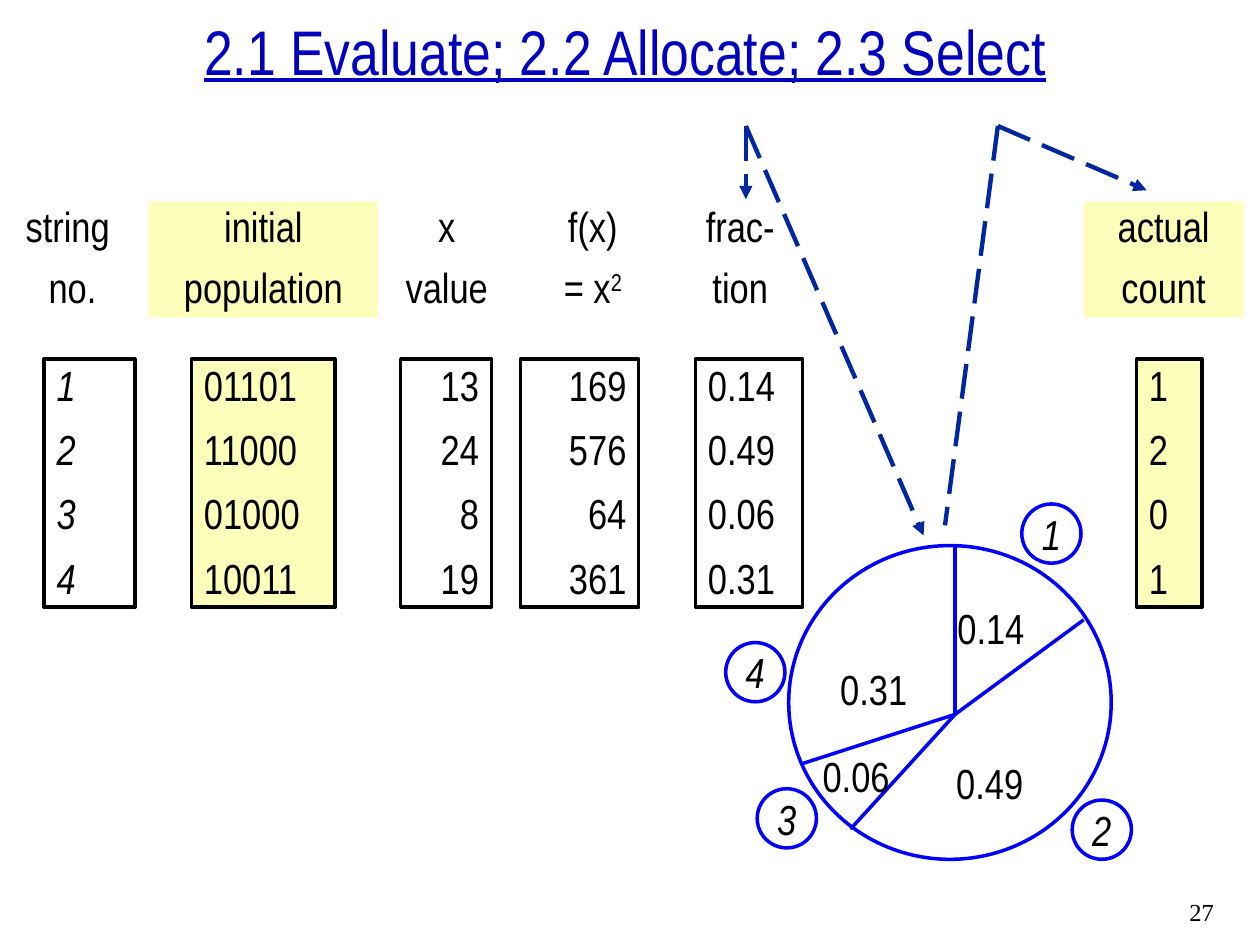
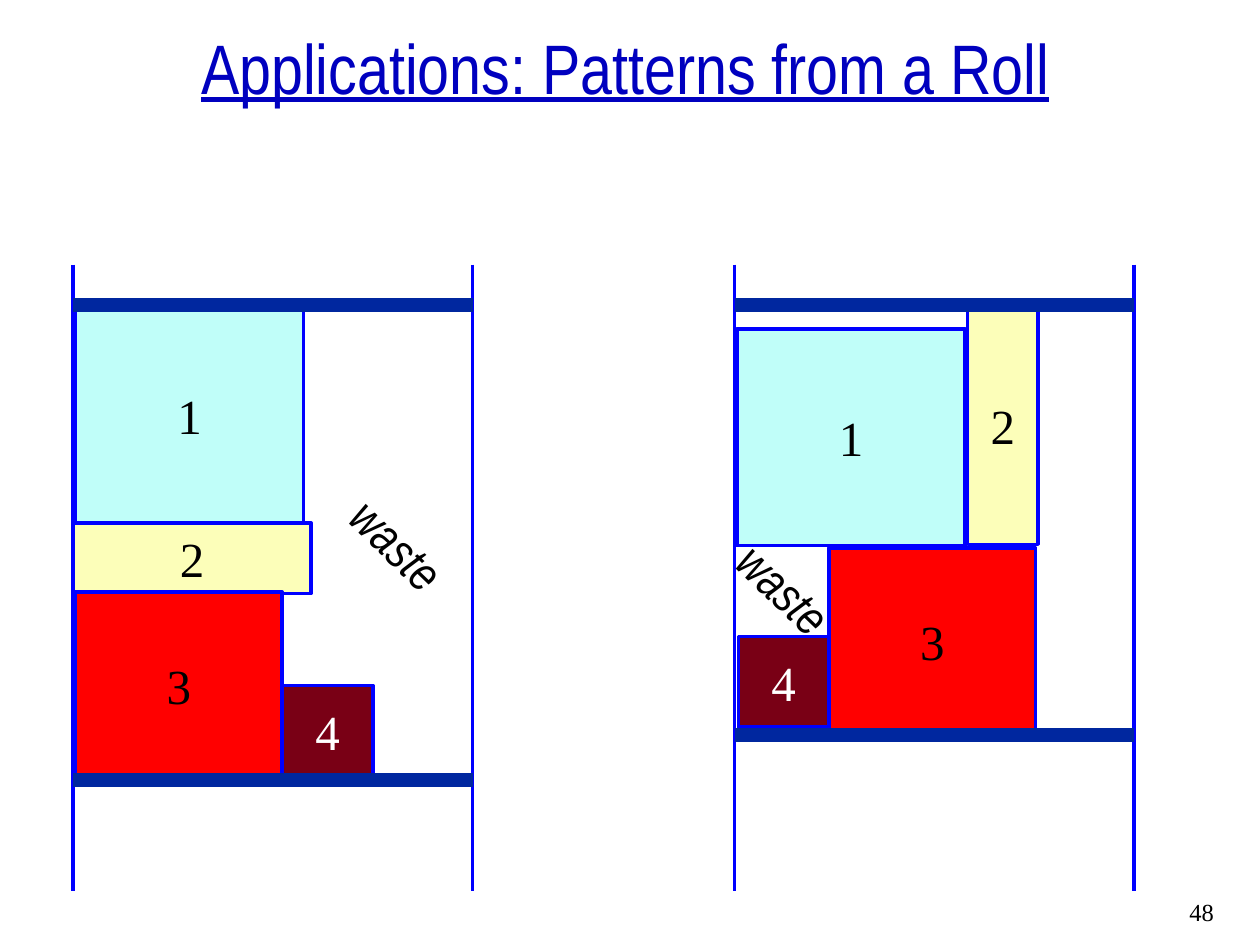
from lxml import etree
from pptx import Presentation
from pptx.dml.color import RGBColor
from pptx.enum.dml import MSO_LINE
from pptx.enum.shapes import MSO_CONNECTOR, MSO_SHAPE
from pptx.enum.text import MSO_ANCHOR as ANCHOR, MSO_AUTO_SIZE, PP_ALIGN as ALIGN
from pptx.oxml.ns import qn
from pptx.util import Inches, Pt

COLORS = {
    "title": "0000BF",
    "outline": "0000FF",
    "navy": "00279F",
    "black": "000000",
    "white": "FFFFFF",
    "yellow": "FCFEB9",
    "cyan": "C0FEF9",
    "red": "FF0000",
    "maroon": "790015",
}
NARROW, SERIF = "Arial Narrow", "Times New Roman"
TITLE_ONLY = 5

# header lines, header left and width, values, values left and width, alignment, style
COLUMNS = [
    (["string ", "no."], 0, 1.15, ["1", "2", "3", "4"], 0.35, 0.72, ALIGN.LEFT, {"italic": True}),
    (["initial", "population"], 1.18, 1.82, ["01101", "11000", "01000", "10011"],
     1.52, 1.14, ALIGN.LEFT, {"fill": "yellow"}),
    (["x", "value"], 3.02, 1.05, ["13", "24", "8", "19"], 3.18, 0.72, ALIGN.RIGHT, {}),
    (["f(x)", "= x^2"], 4.18, 1.05, ["169", "576", "64", "361"], 4.13, 0.94, ALIGN.RIGHT, {}),
    (["frac-", "tion"], 5.35, 1.05, ["0.14", "0.49", "0.06", "0.31"], 5.52, 0.85, ALIGN.LEFT, {}),
    (["actual", "count"], 8.6, 1.27, ["1", "2", "0", "1"], 9.02, 0.52, ALIGN.LEFT,
     {"fill": "yellow"}),
]

# fraction, label offset, number badge offset, spoke end offset
SECTORS = [
    ("0.14", (1.24, 0.5), (1.85, -0.33), (1.32, 0)),
    ("0.49", (1.23, 1.73), (2.25, 2.02), (2.34, 0.59)),
    ("0.06", (0.17, 1.67), (-0.25, 1.93), (0.49, 2.25)),
    ("0.31", (0.31, 0.98), (-0.5, 0.77), (0.11, 1.73)),
]

PIECES = {
    "1": (1.81, 1.72, "cyan", "black"),
    "2": (1.89, 0.56, "yellow", "black"),
    "3": (1.64, 1.47, "red", "black"),
    "4": (0.72, 0.72, "maroon", "white"),
}


def rgb(name):
    return RGBColor.from_string(COLORS[name])


def write_text(shape, lines, font=NARROW, size=24, color="black", italic=False,
               underline=False, align=ALIGN.LEFT, anchor=ANCHOR.TOP, top=0.05,
               wrap=True, line_spacing=None, space_before=0):
    """Fill a shape with one paragraph a line; text after ^ is superscript."""
    frame = shape.text_frame
    frame.auto_size = MSO_AUTO_SIZE.NONE
    frame.word_wrap = wrap
    frame.vertical_anchor = anchor
    frame.margin_left = frame.margin_right = Inches(0.1)
    frame.margin_top, frame.margin_bottom = Inches(top), Inches(0.05)
    for index, line in enumerate(lines):
        paragraph = frame.paragraphs[0] if index == 0 else frame.add_paragraph()
        paragraph.alignment = align
        paragraph.line_spacing = line_spacing
        paragraph.space_before = Pt(space_before if index else 0)
        for part, text in enumerate(line.split("^")):
            run = paragraph.add_run()
            run.text = text
            run.font.name, run.font.size = font, Pt(size)
            run.font.italic, run.font.underline = italic, underline
            run.font.color.rgb = rgb(color)
            if part:
                run._r.get_or_add_rPr().set("baseline", "30000")


def add_box(slide, box, kind=MSO_SHAPE.RECTANGLE, fill=None, line=None):
    shape = slide.shapes.add_shape(kind, *map(Inches, box))
    shape.shadow.inherit = False
    if fill:
        shape.fill.solid()
        shape.fill.fore_color.rgb = rgb(fill)
    else:
        shape.fill.background()
    if line:
        shape.line.color.rgb = rgb(line)
        shape.line.width = Pt(2)
    else:
        shape.line.fill.background()
    return shape


def add_label(slide, box, text, rotation=0, **text_format):
    label = slide.shapes.add_textbox(*map(Inches, box))
    label.rotation = rotation
    write_text(label, [text], **text_format)


def add_line(slide, start, end, color="outline", width=2, dashed=False, arrow=False):
    line = slide.shapes.add_connector(MSO_CONNECTOR.STRAIGHT, *map(Inches, (*start, *end)))
    line.line.color.rgb = rgb(color)
    line.line.width = Pt(width)
    if dashed:
        line.line.dash_style = MSO_LINE.LONG_DASH
    if arrow:
        etree.SubElement(line.line._get_or_add_ln(), qn("a:tailEnd"), type="triangle")
    etree.SubElement(line._element.spPr, qn("a:effectLst"))


def add_slide(presentation, title, title_top, title_size, number):
    """Add a slide with its title and page number."""
    slide = presentation.slides.add_slide(presentation.slide_layouts[TITLE_ONLY])
    shape = slide.shapes.title
    shape.left, shape.top = Inches(0), Inches(title_top)
    shape.width, shape.height = Inches(9.92), Inches(0.54)
    write_text(shape, [title], size=title_size, color="title", underline=True,
               align=ALIGN.CENTER, anchor=ANCHOR.BOTTOM)
    add_label(slide, (9.34, 7.07, 0.58, 0.33), number, font=SERIF, size=14)
    return slide


def add_columns(slide, header_top, values_top):
    for header, left, width, values, values_left, values_width, align, style in COLUMNS:
        fill = style.get("fill")
        heading = add_box(slide, (left, header_top, width, 0.92), fill=fill)
        write_text(heading, header, align=ALIGN.CENTER, top=0.1, line_spacing=0.7,
                   space_before=15)
        cells = add_box(slide, (values_left, values_top, values_width, 1.97),
                        fill=fill, line="black")
        write_text(cells, values, align=align, top=0.1, line_spacing=0.75,
                   space_before=15, italic=style.get("italic", False))


def add_wheel(slide, left, top, width, height):
    """Draw the roulette wheel with its sectors and numbered badges."""
    def place(offset):
        return left + offset[0], top + offset[1]

    add_box(slide, (left, top, width, height), MSO_SHAPE.OVAL, line="outline")
    for number, (fraction, label, badge, spoke) in enumerate(SECTORS, start=1):
        add_line(slide, place((1.32, 1.34)), place(spoke))
        add_label(slide, (*place(label), 0.73, 0.4), fraction, wrap=False, line_spacing=0.75)
        circle = add_box(slide, (*place(badge), 0.47, 0.47), MSO_SHAPE.OVAL, line="outline")
        write_text(circle, [str(number)], italic=True, align=ALIGN.CENTER,
                   anchor=ANCHOR.MIDDLE, wrap=False)


def add_selection_slide(presentation):
    slide = add_slide(presentation, "2.1 Evaluate; 2.2 Allocate; 2.3 Select", 0.21, 36, "27")
    add_columns(slide, header_top=1.6, values_top=2.85)
    add_wheel(slide, 6.26, 4.33, 2.56, 2.49)
    allocate, select = (5.92, 1), (7.92, 1)
    for start, end, arrow in [
        (allocate, (5.92, 1.58), True),
        (select, (9.1, 1.51), True),
        (allocate, (7.33, 4.25), True),
        (select, (7.5, 4.17), False),
    ]:
        add_line(slide, start, end, "navy", 2.5, dashed=True, arrow=arrow)


def add_roll(slide, left, top, layout, cut, waste, turned=()):
    """Draw a roll with its pieces, the cuts above and below, and the waste label."""
    width, length = 3.17, 4.97
    for edge in (left, left + width):
        add_line(slide, (edge, top), (edge, top + length))
    for name, (x, y) in layout.items():
        piece_width, piece_height, fill, color = PIECES[name]
        if name in turned:
            piece_width, piece_height = piece_height, piece_width
        piece = add_box(slide, (left + x, top + y, piece_width, piece_height),
                        fill=fill, line="outline")
        write_text(piece, [name], font=SERIF, size=28, color=color, align=ALIGN.CENTER,
                   anchor=ANCHOR.MIDDLE, wrap=False)
    for y in (top + 0.32, top + cut):
        add_line(slide, (left, y), (left + width, y), "navy", 8)
    add_label(slide, (left + waste[0], top + waste[1], 1.41, 0.56), "waste",
              rotation=44, size=28, italic=True)


def add_patterns_slide(presentation):
    slide = add_slide(presentation, "Applications: Patterns from a Roll", 0.37, 40, "48")
    add_roll(slide, 0.58, 2.1, cut=4.09, waste=(2.01, 2.07),
             layout={"1": (0.02, 0.33), "2": (0, 2.05), "4": (1.66, 3.34), "3": (0.02, 2.6)})
    add_roll(slide, 5.83, 2.1, cut=3.73, waste=(-0.17, 2.42), turned=("2",),
             layout={"1": (0.02, 0.51), "3": (0.75, 2.25), "2": (1.85, 0.33), "4": (0.03, 2.95)})


def main():
    presentation = Presentation()
    presentation.slide_width, presentation.slide_height = Inches(10), Inches(7.5)
    add_selection_slide(presentation)
    add_patterns_slide(presentation)
    presentation.save("out.pptx")


if __name__ == "__main__":
    main()
